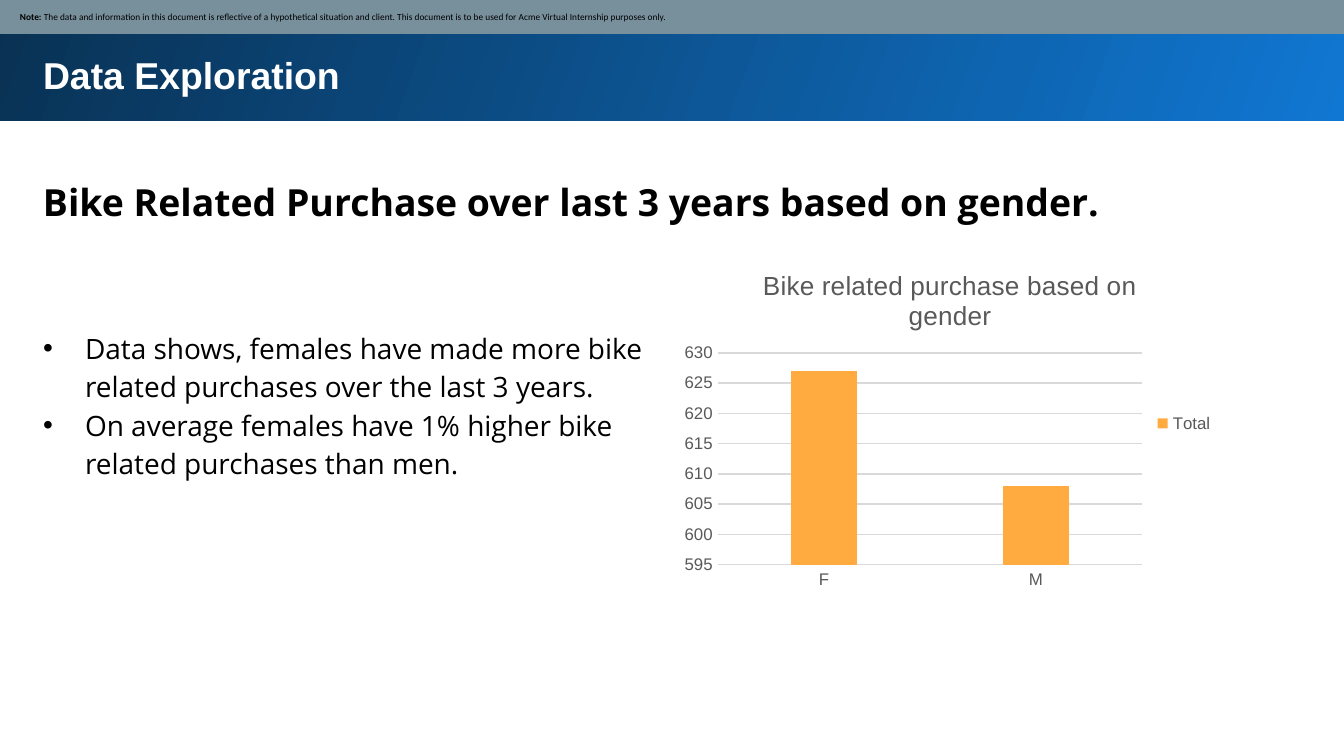
from dataclasses import dataclass

from lxml.etree import SubElement
from pptx import Presentation
from pptx.chart.data import CategoryChartData
from pptx.dml.color import RGBColor
from pptx.enum.chart import XL_CHART_TYPE as ChartType, XL_LEGEND_POSITION as LegendSide
from pptx.enum.chart import XL_TICK_MARK as TickMark
from pptx.enum.shapes import MSO_SHAPE as Preset
from pptx.enum.text import MSO_ANCHOR as Anchor, MSO_AUTO_SIZE as AutoSize, PP_ALIGN as Align
from pptx.oxml import parse_xml
from pptx.oxml.ns import nsdecls, qn
from pptx.util import Emu, Pt

PIXEL = 914400 / 134.4


def px(length):
    """Turn picture pixels into EMU."""
    return Emu(round(length * PIXEL))


def rgb(code):
    """Turn a hex code into a colour."""
    return RGBColor.from_string(code)


@dataclass(frozen=True)
class Theme:
    """Colours, fonts and type sizes of the slide."""
    ink: str = "000000"
    paper: str = "FFFFFF"
    sky: str = "1077D2"
    navy: str = "093153"
    slate: str = "78909C"
    bar: str = "FFAB40"
    label: str = "595959"
    grid: str = "D9D9D9"
    heading_font: str = "Arial"
    body_font: str = "Open Sans"
    note_font: str = "Calibri"
    heading: float = 20
    body: float = 15
    note: float = 5
    chart_title: float = 14
    chart_label: float = 9


def format_font(font, face, size, color, bold=False):
    """Apply face, size, colour and weight to a font."""
    font.name, font.size, font.bold = face, Pt(size), bold
    font.color.rgb = rgb(color)


def write(para, text, *, face, size, color, bold=False, spacing=1.0):
    """Add a formatted span to a paragraph aligned left."""
    para.alignment, para.line_spacing, para.space_before = Align.LEFT, spacing, Pt(0)
    span = para.add_run()
    span.text = text
    format_font(span.font, face, size, color, bold)


class SlideBuilder:
    """Holds the theme and the current slide."""

    def __init__(self, page, theme):
        """Keep the page and its style."""
        self.page, self.theme = page, theme

    def frame(self, box, inset=13, anchor=Anchor.TOP):
        """Prepare the text frame of a box."""
        frame = box.text_frame
        frame.word_wrap, frame.auto_size, frame.vertical_anchor = True, AutoSize.NONE, anchor
        frame.margin_left = frame.margin_right = px(inset)
        frame.margin_top = frame.margin_bottom = px(inset)
        return frame

    def place(self, box, area):
        """Move a placeholder to a pixel area."""
        box.left, box.top, box.width, box.height = map(px, area)
        return self.frame(box)

    def band(self, area, color):
        """Add a plain rectangle without outline."""
        box = self.page.shapes.add_shape(Preset.RECTANGLE, *map(px, area))
        box.shadow.inherit = False
        box.line.fill.background()
        box.fill.solid()
        box.fill.fore_color.rgb = rgb(color)
        return box

    def header(self, area):
        """Add the gradient band behind the title."""
        box = self.band(area, self.theme.navy)
        box.fill.gradient()
        box.fill.gradient_angle = 160
        for stop, color in zip(box.fill.gradient_stops, (self.theme.sky, self.theme.navy)):
            stop.color.rgb = rgb(color)
        self.page.shapes.element.insert(2, box.element)

    def title(self, text, area):
        """Fill the title placeholder."""
        frame = self.place(self.page.shapes.title, area)
        write(frame.paragraphs[0], text, face=self.theme.heading_font,
              size=self.theme.heading, color=self.theme.paper, bold=True)

    def subtitle(self, text, area):
        """Add the bold statement under the header."""
        frame = self.frame(self.page.shapes.add_textbox(*map(px, area)))
        write(frame.paragraphs[0], text, face=self.theme.body_font,
              size=self.theme.heading, color=self.theme.ink, bold=True, spacing=1.15)

    def bullets(self, items, area, indent=42):
        """Fill the body placeholder with a bulleted list."""
        frame = self.place(self.page.placeholders[1], area)
        for index, item in enumerate(items):
            para = frame.add_paragraph() if index else frame.paragraphs[0]
            write(para, item, face=self.theme.body_font, size=self.theme.body,
                  color=self.theme.ink, spacing=1.15)
            props = para._p.get_or_add_pPr()
            props.set("marL", str(px(indent)))
            props.set("indent", str(-px(indent)))
            SubElement(props, qn("a:buFont")).set("typeface", "Arial")
            SubElement(props, qn("a:buChar")).set("char", "•")

    def note(self, lead, text, area):
        """Add the note strip at the top."""
        frame = self.frame(self.band(area, self.theme.slate), 7, Anchor.MIDDLE)
        frame.margin_left = px(21)
        for words, bold in ((lead, True), (text, False)):
            write(frame.paragraphs[0], words, face=self.theme.note_font,
                  size=self.theme.note, color=self.theme.ink, bold=bold)

    def column_chart(self, title, name, counts, area, plot):
        """Add a column chart with its plot at a pixel area of the slide."""
        theme = self.theme
        data = CategoryChartData()
        data.categories = list(counts)
        data.add_series(name, list(counts.values()))
        chart = self.page.shapes.add_chart(
            ChartType.COLUMN_CLUSTERED, *map(px, area), data).chart
        format_font(chart.font, theme.heading_font, theme.chart_label, theme.label)

        chart.has_title = True
        para = chart.chart_title.text_frame.paragraphs[0]
        span = para.add_run()
        span.text = title
        format_font(span.font, theme.heading_font, theme.chart_title, theme.label)
        chart.chart_title.include_in_layout = False

        chart.has_legend = True
        chart.legend.position = LegendSide.RIGHT
        chart.legend.include_in_layout = False

        columns = chart.plots[0]
        columns.gap_width, columns.overlap, columns.vary_by_categories = 219, -27, False
        fill = columns.series[0].format.fill
        fill.solid()
        fill.fore_color.rgb = rgb(theme.bar)

        values, groups = chart.value_axis, chart.category_axis
        values.minimum_scale, values.maximum_scale, values.major_unit = 595, 630, 5
        values.has_major_gridlines = True
        values.format.line.fill.background()
        for axis in (values, groups):
            axis.major_tick_mark = axis.minor_tick_mark = TickMark.NONE
        for line in (values.major_gridlines.format.line, groups.format.line):
            line.color.rgb, line.width = rgb(theme.grid), Pt(0.75)
        self.fix_plot(chart, area, plot)

    def fix_plot(self, chart, area, plot):
        """Pin the inner plot area of a chart."""
        left, top, width, height = area
        shares = {"x": (plot[0] - left) / width, "y": (plot[1] - top) / height,
                  "w": plot[2] / width, "h": plot[3] / height}
        modes = '<c:layoutTarget val="inner"/><c:xMode val="edge"/><c:yMode val="edge"/>'
        sizes = "".join(f'<c:{key} val="{share:.4f}"/>' for key, share in shares.items())
        plot_area = chart.element.find(".//" + qn("c:plotArea"))
        for old in plot_area.findall(qn("c:layout")):
            plot_area.remove(old)
        plot_area.insert(0, parse_xml(
            f'<c:layout {nsdecls("c")}><c:manualLayout>{modes}{sizes}'
            '</c:manualLayout></c:layout>'))


def main():
    """Build and save the deck."""
    deck = Presentation()
    deck.slide_width, deck.slide_height = px(1344), px(756)
    slide = SlideBuilder(deck.slides.add_slide(deck.slide_layouts[1]), Theme())
    slide.header((-3, -3, 1351, 124))
    slide.title("Data Exploration", (30, 39, 1259, 69))
    slide.subtitle("Bike Related Purchase over last 3 years based on gender.",
                   (30, 159, 1259, 75))
    slide.bullets(("Data shows, females have made more bike related purchases "
                   "over the last 3 years.",
                   "On average females have 1% higher bike related purchases than men."),
                  (30, 313, 632, 182))
    slide.note("Note: ", "The data and information in this document is reflective of a "
               "hypothetical situation and client. This document is to be used for "
               "Acme Virtual Internship purposes only.", (-1, -1, 1348, 35))
    slide.column_chart("Bike related purchase based on gender", "Total",
                       {"F": 627, "M": 608}, (673, 250, 554, 347), (718, 353, 424, 212))
    deck.save("out.pptx")


main()
